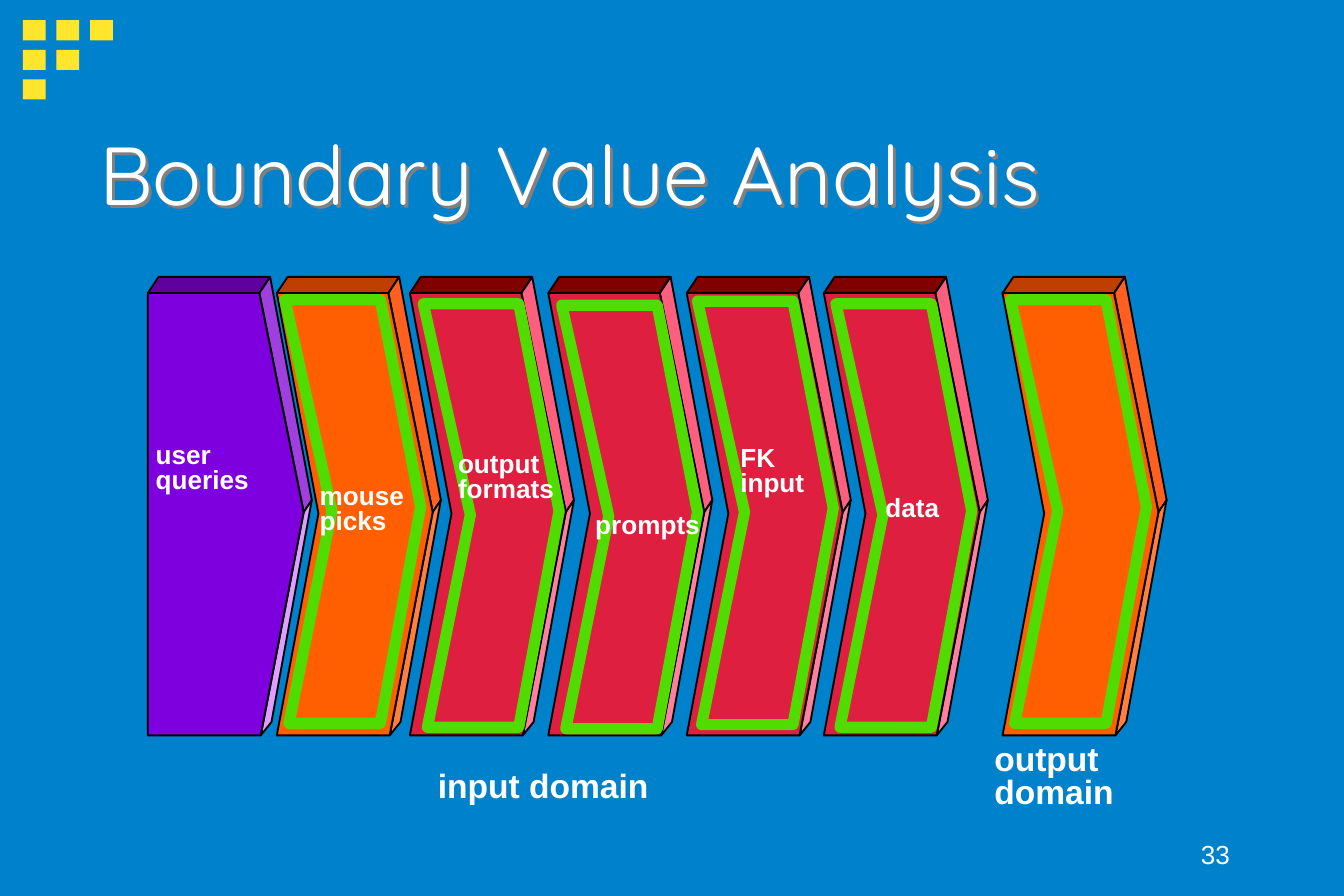
from pptx import Presentation
from pptx.dml.color import RGBColor
from pptx.enum.shapes import MSO_SHAPE
from pptx.enum.text import MSO_ANCHOR, MSO_AUTO_SIZE, PP_ALIGN
from pptx.oxml import parse_xml
from pptx.oxml.ns import nsdecls
from pptx.util import Emu, Inches, Pt

RECTANGLE = MSO_SHAPE.RECTANGLE
LEFT, RIGHT = PP_ALIGN.LEFT, PP_ALIGN.RIGHT
TOP, MIDDLE, BOTTOM = MSO_ANCHOR.TOP, MSO_ANCHOR.MIDDLE, MSO_ANCHOR.BOTTOM
FIT_SHAPE, NO_FIT = MSO_AUTO_SIZE.SHAPE_TO_FIT_TEXT, MSO_AUTO_SIZE.NONE

# Exact height of the 10 by 6.66 inch page format
SLIDE_HEIGHT = Emu(6094413)

COLORS = {"background": "0081CB", "square": "FFE62D", "text": "FFFFFF",
          "edge": "000000", "band": "51DC00", "shadow": "808080"}
# Faces of a block: top, upper side, lower side, front
FACES = {
    "purple": ("5F009F", "9F3FDF", "DF9FFF", "7F00DF"),
    "orange": ("BF3F00", "FF5F1F", "FF7F3F", "FF5F00"),
    "red": ("800000", "FF5F7F", "FF7F9F", "DF1F3F"),
}

# Content: block left, palette, band position (left, top)
BLOCKS = [
    (1.10, "purple", None),
    (2.06, "orange", (2.12, 2.23)),
    (3.05, "red", (3.15, 2.26)),
    (4.08, "red", (4.18, 2.27)),
    (5.11, "red", (5.19, 2.24)),
    (6.13, "red", (6.22, 2.26)),
    (7.46, "orange", (7.52, 2.23)),
]
# Labels: lines, left, top, width, height, size, line spacing
LABELS = [
    (["user", "queries"], 1.06, 3.26, 0.89, 0.47, 14, 0.8),
    (["mouse", "picks"], 2.28, 3.56, 0.83, 0.47, 14, 0.8),
    (["output", "formats"], 3.31, 3.32, 0.93, 0.47, 14, 0.8),
    (["prompts"], 4.33, 3.78, 0.98, 0.28, 14, 0.8),
    (["FK", "input"], 5.41, 3.28, 0.68, 0.47, 14, 0.8),
    (["data"], 6.49, 3.65, 0.60, 0.28, 14, 0.8),
    (["output", "domain"], 7.30, 5.50, 1.09, 0.58, 18, 0.8),
    (["input domain"], 3.16, 5.64, 1.77, 0.40, 18, 1.0),
]

# Outlines relative to the left and top of a block or band
BLOCK_TOP = 2.06
TOP_FACE = [(0.83, 0.12), (0, 0.12), (0.08, 0), (0.91, 0)]
UPPER_SIDE = [(0.91, 0), (0.83, 0.12), (1.16, 1.75), (1.22, 1.66)]
LOWER_SIDE = [(1.22, 1.66), (1.16, 1.75), (0.84, 3.41), (0.92, 3.31)]
FRONT = [(0.83, 0.12), (0, 0.12), (0.31, 1.76), (0, 3.41), (0.84, 3.41), (1.16, 1.75)]
FLAT_FRONT = [point for point in FRONT if point != (0.31, 1.76)]
BAND = [(0, 0), (0.71, 0), (1.01, 1.54), (0.71, 3.15), (0.03, 3.15), (0.35, 1.57)]


def color(value):
    return RGBColor.from_string(value)


def write_text(shape, lines, *, size, font="Arial", bold=False, align=LEFT,
               anchor=TOP, spacing=1.0, wrap=True, fit=NO_FIT):
    frame = shape.text_frame
    frame.text = "\n".join(lines)
    frame.word_wrap = wrap
    frame.auto_size = fit
    frame.vertical_anchor = anchor
    for paragraph in frame.paragraphs:
        paragraph.alignment = align
        paragraph.line_spacing = spacing
        for run in paragraph.runs:
            run.font.name = font
            run.font.size = Pt(size)
            run.font.bold = bold
            run.font.color.rgb = color(COLORS["text"])


def add_outline(shapes, points, left, top, line_color, line_width, fill=None):
    corners = [(Inches(left + x), Inches(top + y)) for x, y in points]
    builder = shapes.build_freeform(*corners[0])
    builder.add_line_segments(corners[1:], close=True)
    shape = builder.convert_to_shape()
    shape.shadow.inherit = False
    if fill:
        shape.fill.solid()
        shape.fill.fore_color.rgb = color(fill)
    else:
        shape.fill.background()
    shape.line.color.rgb = color(line_color)
    shape.line.width = Pt(line_width)


def add_block(slide, left, palette, has_notch):
    group = slide.shapes.add_group_shape()
    outlines = [TOP_FACE, UPPER_SIDE, LOWER_SIDE, FRONT if has_notch else FLAT_FRONT]
    for points, fill in zip(outlines, FACES[palette]):
        add_outline(group.shapes, points, left, BLOCK_TOP, COLORS["edge"], 1, fill)


def main():
    presentation = Presentation()
    presentation.slide_width, presentation.slide_height = Inches(10), SLIDE_HEIGHT
    slide = presentation.slides.add_slide(presentation.slide_layouts[5])
    slide.background.fill.solid()
    slide.background.fill.fore_color.rgb = color(COLORS["background"])

    # Corner squares: rows of three, two and one
    squares = slide.shapes.add_group_shape()
    for row in range(3):
        for column in range(3 - row):
            square = squares.shapes.add_shape(
                RECTANGLE, Inches(0.17 + 0.25 * column), Inches(0.15 + 0.22 * row),
                Inches(0.17), Inches(0.15))
            square.shadow.inherit = False
            square.fill.solid()
            square.fill.fore_color.rgb = color(COLORS["square"])
            square.line.fill.background()

    # Title with a hard shadow behind its letters
    title = slide.shapes.title
    title.left, title.top = Inches(0.64), Inches(0.84)
    title.width, title.height = Inches(7.81), Inches(0.89)
    write_text(title, ["Boundary Value Analysis"], size=44, font="Quicksand", anchor=MIDDLE)
    title.element.spPr.append(parse_xml(
        f'<a:effectLst {nsdecls("a")}><a:outerShdw dist="25400" dir="2700000">'
        f'<a:srgbClr val="{COLORS["shadow"]}"/></a:outerShdw></a:effectLst>'))

    # Blocks and their green bands
    for left, palette, band in BLOCKS:
        add_block(slide, left, palette, band is not None)
        if band:
            add_outline(slide.shapes, BAND, *band, COLORS["band"], 6)

    # Labels
    for lines, left, top, width, height, size, spacing in LABELS:
        label = slide.shapes.add_textbox(
            Inches(left), Inches(top), Inches(width), Inches(height))
        write_text(label, lines, size=size, bold=True, spacing=spacing,
                   wrap=False, fit=FIT_SHAPE)

    # Page number
    number = slide.shapes.add_textbox(Inches(7.17), Inches(6.08), Inches(2.08), Inches(0.44))
    write_text(number, ["33"], size=14, align=RIGHT, anchor=BOTTOM)

    presentation.save("out.pptx")


if __name__ == "__main__":
    main()
